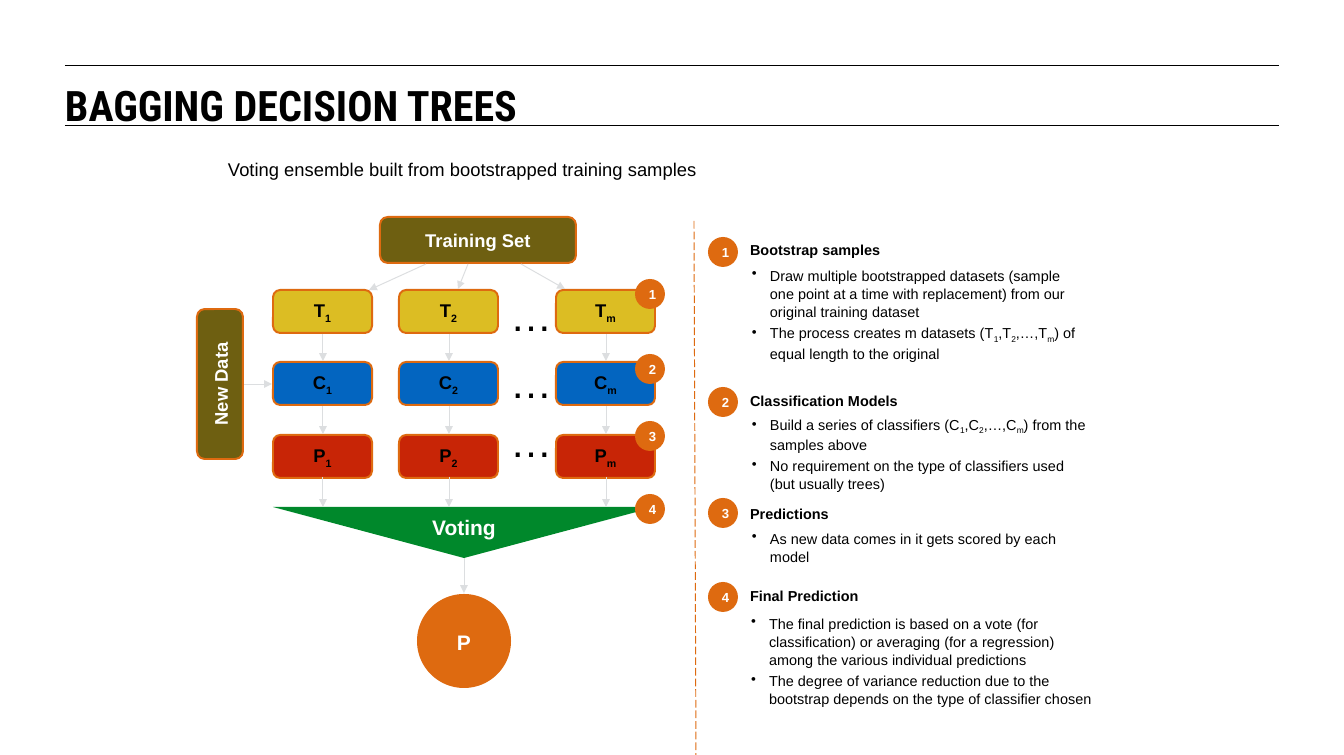
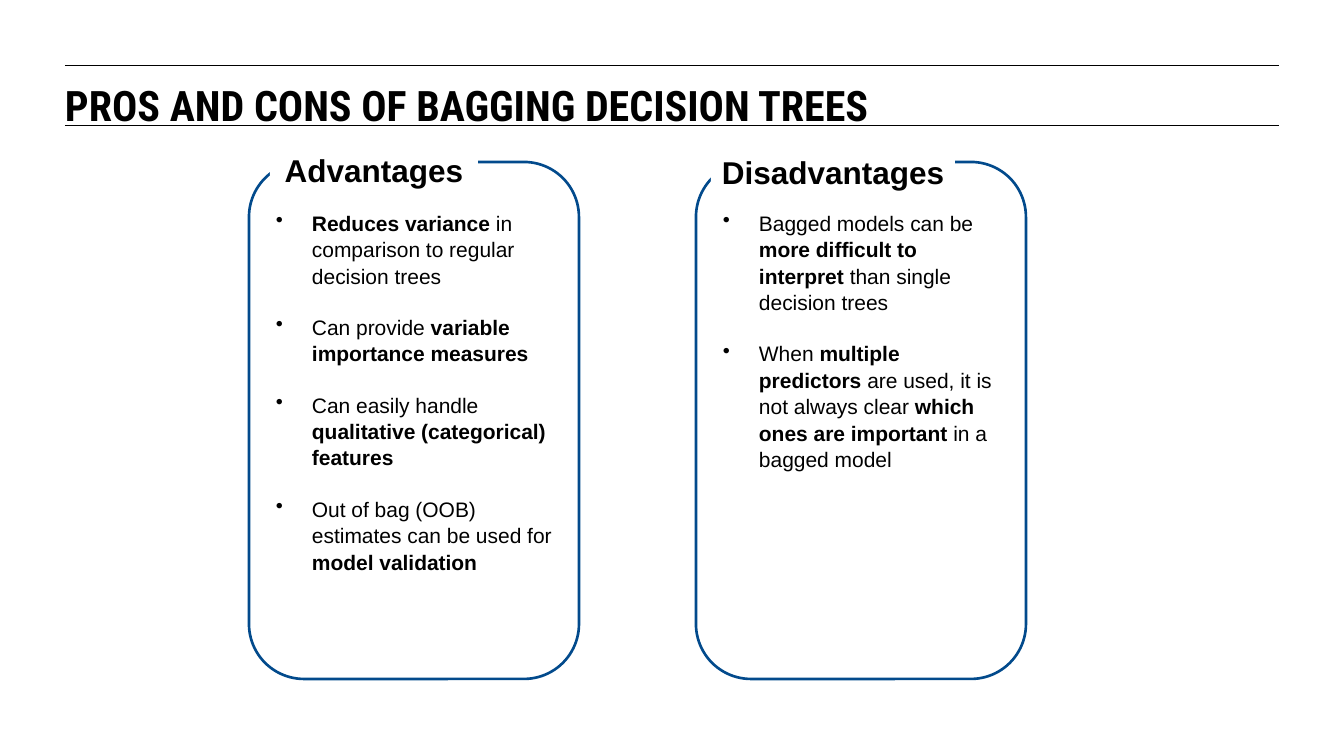
from lxml.etree import SubElement
from pptx import Presentation
from pptx.dml.color import RGBColor
from pptx.enum.dml import MSO_LINE
from pptx.enum.shapes import MSO_CONNECTOR, MSO_SHAPE
from pptx.enum.text import MSO_ANCHOR, PP_ALIGN
from pptx.oxml.ns import qn
from pptx.util import Pt

PX = 914400 / 94.5
INK = {
    "black": "000000", "white": "FFFFFF", "olive": "6E5F11", "gold": "DCBD23",
    "blue": "0365C0", "red": "C82506", "green": "00882B", "orange": "DE6A10",
    "navy": "024A8C", "grey": "DCDEE0",
}


def put(page, kind, box, texts=(), size=14, ink="black", bold=False, face="Arial",
        fill=None, edge=None, width=1.5, left=False, top=False, dent=0, gap=0, pad=0, turn=0):
    rect = [round(n * PX) for n in box]
    if kind is None:
        item = page.shapes.add_textbox(*rect)
    else:
        item = page.shapes.add_shape(kind, *rect)
        item.shadow.inherit = False
        item.fill.solid()
        item.fill.fore_color.rgb = RGBColor.from_string(INK[fill])
        if edge:
            item.line.color.rgb = RGBColor.from_string(INK[edge])
            item.line.width = Pt(width)
        else:
            item.line.fill.background()
    item.rotation = turn
    frame = item.text_frame
    frame.word_wrap = True
    frame.margin_left = round(pad * PX)
    frame.margin_top = frame.margin_right = frame.margin_bottom = 0
    frame.vertical_anchor = MSO_ANCHOR.TOP if top else MSO_ANCHOR.MIDDLE
    for n, text in enumerate(texts):
        para = frame.paragraphs[0] if n == 0 else frame.add_paragraph()
        para.alignment = PP_ALIGN.LEFT if left else PP_ALIGN.CENTER
        para.line_spacing = 1.05
        if n:
            para.space_before = Pt(gap)
        if dent:
            props = para._p.get_or_add_pPr()
            props.set("marL", str(round(dent * PX)))
            props.set("indent", str(round(-dent * PX)))
            SubElement(props, qn("a:buChar")).set("char", "•")
        font = para.font
        font.name, font.size, font.bold = face, Pt(size), bold
        font.color.rgb = RGBColor.from_string(INK[ink])
        for i, part in enumerate(text.split("*")):
            for j, bit in enumerate(part.split("~")):
                if bit:
                    run = para.add_run()
                    run.text = bit
                    if i % 2:
                        run.font.bold = True
                    if j % 2:
                        run._r.get_or_add_rPr().set("baseline", "-25000")
    return item


def link(page, ends, ink="grey", arrow=True, dash=None):
    wire = page.shapes.add_connector(MSO_CONNECTOR.STRAIGHT, *[round(n * PX) for n in ends])
    wire.line.color.rgb = RGBColor.from_string(INK[ink])
    wire.line.width = Pt(0.75)
    if dash:
        wire.line.dash_style = dash
    if arrow:
        SubElement(wire.line._get_or_add_ln(), qn("a:tailEnd")).set("type", "triangle")
    SubElement(wire._element.spPr, qn("a:effectLst"))


deck = Presentation()
deck.slide_width, deck.slide_height = round(1344 * PX), round(755 * PX)
pages = []
for title in ("BAGGING DECISION TREES", "PROS AND CONS OF BAGGING DECISION TREES"):
    page = deck.slides.add_slide(deck.slide_layouts[6])
    for y in (65, 126):
        link(page, (65, y, 1279, y), "black", False)
    put(page, None, (65, 77, 1213, 50), [title], 32, bold=True, face="Roboto Condensed",
        left=True, top=True)
    pages.append(page)
tree, pros = pages

put(tree, None, (228, 157, 848, 42), ["Voting ensemble built from bootstrapped training samples"],
    left=True, top=True)

ROUND = MSO_SHAPE.ROUNDED_RECTANGLE
put(tree, ROUND, (380, 217, 196, 46), ["Training Set"], ink="white", bold=True,
    fill="olive", edge="orange")
put(tree, ROUND, (145, 361, 150, 46), ["New Data"], ink="white", bold=True,
    fill="olive", edge="orange", turn=270)

cols = {"1": 273, "2": 399, "m": 556}
rows = (("T", 290, "gold", 287), ("C", 362, "blue", 354), ("P", 435, "red", 413))
for name, y, fill, dots in rows:
    for mark, x in cols.items():
        put(tree, ROUND, (x, y, 99, 43), [f"{name}~{mark}~"], bold=True,
            fill=fill, edge="orange")
    put(tree, None, (504, dots, 54, 47), ["…"], 32, top=True)

put(tree, MSO_SHAPE.ISOSCELES_TRIANGLE, (273, 507, 382, 51), fill="green", turn=180)
put(tree, None, (409, 513, 110, 23), ["Voting"], 16, "white", True, top=True)
put(tree, MSO_SHAPE.OVAL, (417, 594, 94, 94), ["P"], 16, "white", True, fill="orange")

for ends in ((244, 384, 272, 384), (426, 264, 369, 290), (468, 264, 458, 289),
             (521, 264, 565, 289), (464, 558, 464, 593)):
    link(tree, ends)
for x in cols.values():
    for start, stop in ((334, 361), (406, 434), (477, 507)):
        link(tree, (x + 50, start, x + 50, stop))
link(tree, (694, 221, 696, 761), "orange", False, MSO_LINE.LONG_DASH)

steps = (
    ("Bootstrap samples", 279, 237, 240, (752, 266, 335, 89), [
        "Draw multiple bootstrapped datasets (sample one point at a time with replacement) "
        "from our original training dataset",
        "The process creates m datasets (T~1~,T~2~,…,T~m~) of equal length to the original"]),
    ("Classification Models", 354, 387, 391, (752, 415, 335, 73), [
        "Build a series of classifiers (C~1~,C~2~,…,C~m~) from the samples above",
        "No requirement on the type of classifiers used (but usually trees)"]),
    ("Predictions", 421, 498, 504, (752, 529, 335, 36), [
        "As new data comes in it gets scored by each model"]),
    ("Final Prediction", 494, 582, 586, (751, 614, 347, 118), [
        "The final prediction is based on a vote (for classification) or averaging "
        "(for a regression) among the various individual predictions",
        "The degree of variance reduction due to the bootstrap depends on the type of "
        "classifier chosen"]),
)
for n, (head, near, side, y, box, notes) in enumerate(steps, 1):
    for spot in ((635, near, 30, 30), (708, side, 30, 30)):
        put(tree, MSO_SHAPE.OVAL, spot, [str(n)], 10, "white", True, fill="orange", pad=5)
    put(tree, None, (750, y, 190, 16), [head], 11, bold=True, left=True, top=True)
    put(tree, None, box, notes, 11, left=True, top=True, dent=18, gap=2)

cards = (
    ("Advantages", 249, (270, 149, 208, 36), [
        "*Reduces variance *in comparison to regular decision trees",
        "Can provide *variable importance measures*",
        "Can easily handle *qualitative (categorical) features*",
        "Out of bag (OOB) estimates can be used for *model validation*"]),
    ("Disadvantages", 696, (711, 151, 244, 36), [
        "Bagged models can be *more difficult to interpret *than single decision trees",
        "When *multiple predictors *are used, it is not always clear "
        "*which ones are important* in a bagged model"]),
)
for head, x, box, notes in cards:
    put(pros, ROUND, (x, 162, 330, 517), fill="white", edge="navy", width=2)
    put(pros, None, (x + 27, 209, 276, 350), notes, 16, left=True, top=True, dent=36, gap=19)
    put(pros, MSO_SHAPE.RECTANGLE, box, [head], 24, bold=True, fill="white", top=True)

deck.save("out.pptx")
